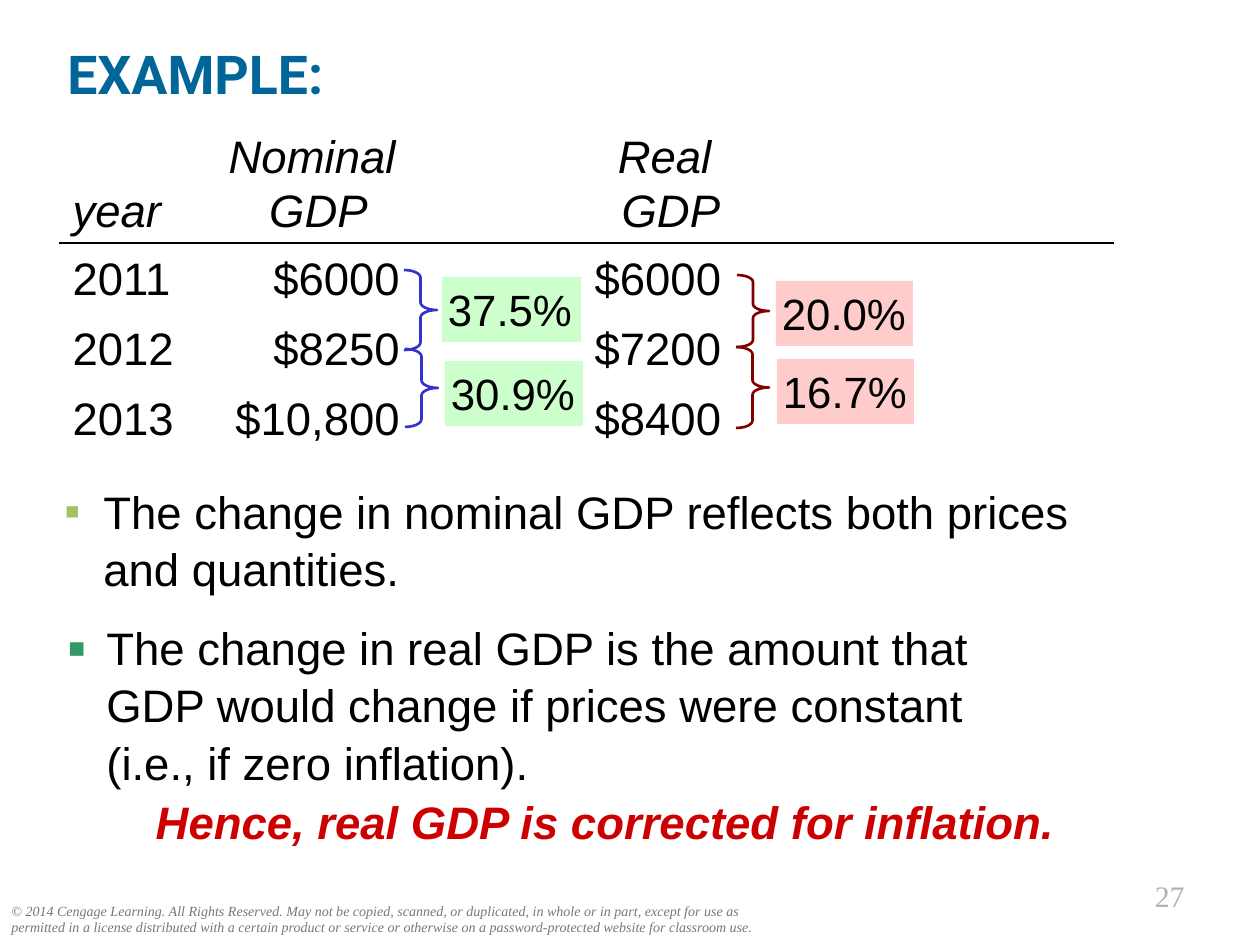
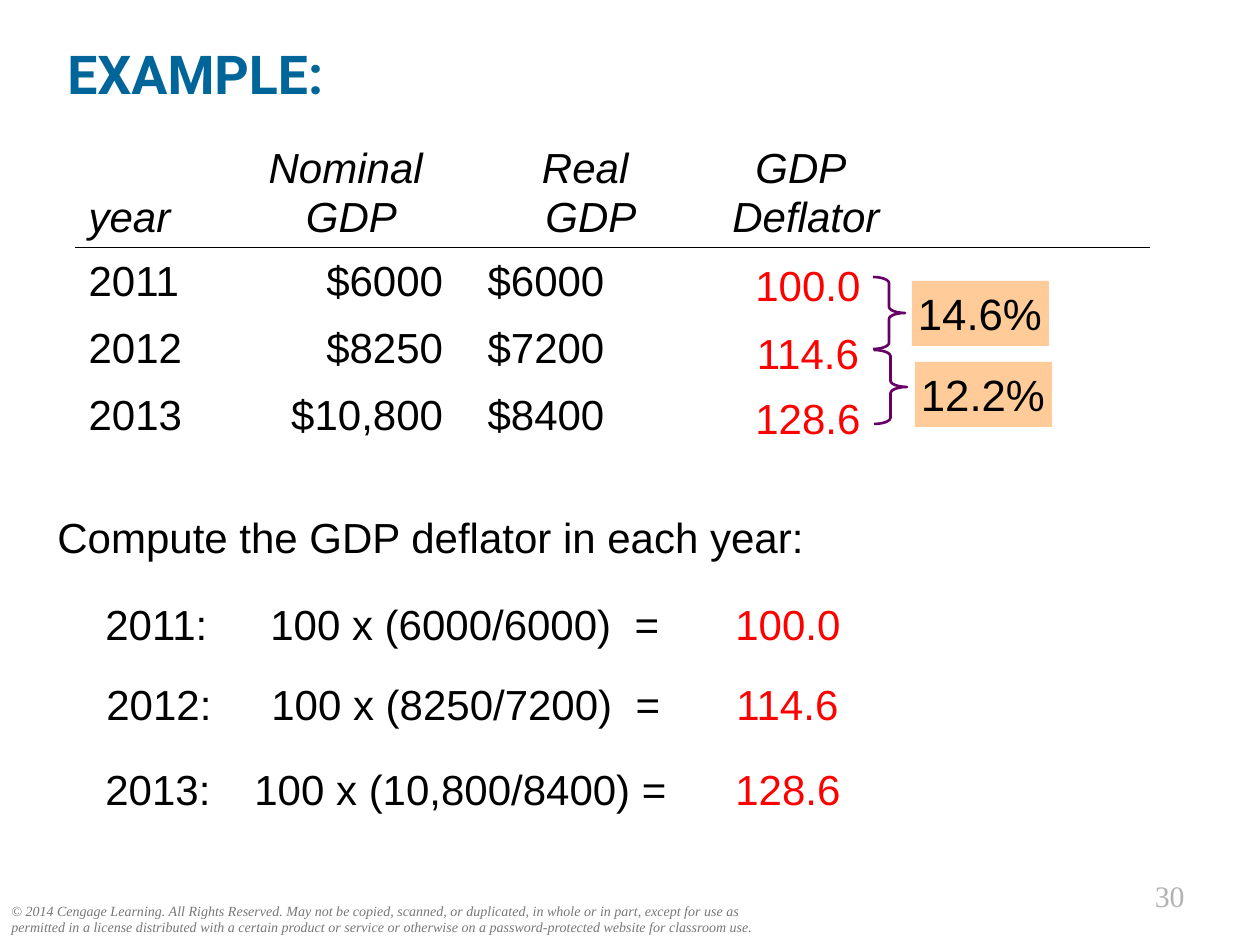
from lxml.etree import SubElement
from pptx import Presentation
from pptx.dml.color import RGBColor
from pptx.enum.shapes import MSO_SHAPE
from pptx.enum.text import MSO_ANCHOR, PP_ALIGN
from pptx.oxml import parse_xml
from pptx.oxml.ns import nsdecls, qn
from pptx.util import Pt

SCALE = 914400 / 126
BLACK, RED = "000000", "FF0000"
SERIF = "Times New Roman"
LEFT, MID, RIGHT = PP_ALIGN.LEFT, PP_ALIGN.CENTER, PP_ALIGN.RIGHT
HANG = 39
NOTICE = (
    "© 2014 Cengage Learning. All Rights Reserved. May not be copied, scanned, "
    "or duplicated, in whole or in part, except for use as permitted in a license "
    "distributed with a certain product or service or otherwise on a "
    "password-protected website for classroom use."
)


def px(n):
    return round(n * SCALE)


def box(*sides):
    return [px(n) for n in sides]


def color(code):
    return RGBColor.from_string(code)


def write(frame, text, size=26, font="Arial", ink=BLACK, bold=False, italic=False,
          align=LEFT, anchor=MSO_ANCHOR.TOP, lead=None, wrap=True,
          hang=0, bullet=None, tabs=()):
    """Fill a frame with one paragraph; text is a string or (string, ink) pairs."""
    frame.word_wrap = wrap
    frame.vertical_anchor = anchor
    para = frame.paragraphs[0]
    para.alignment = align
    if lead:
        para.line_spacing = lead
    props = para._p.get_or_add_pPr()
    if hang:
        props.set("marL", str(px(hang)))
        props.set("indent", str(-px(hang)))
    if bullet:
        tint, grow = bullet
        SubElement(SubElement(props, qn("a:buClr")), qn("a:srgbClr"), val=tint)
        SubElement(props, qn("a:buSzPct"), val=str(grow * 1000))
        SubElement(props, qn("a:buFont"), typeface="Arial")
        SubElement(props, qn("a:buChar"), char="▪")
    if tabs:
        stops = SubElement(props, qn("a:tabLst"))
        for stop in tabs:
            SubElement(stops, qn("a:tab"), pos=str(px(stop)), algn="l")
    for part, tint in [(text, ink)] if isinstance(text, str) else text:
        for i, line in enumerate(part.split("\n")):
            if i:
                para.add_line_break()
            run = para.add_run()
            run.text = line
            face = run.font
            face.size, face.name = Pt(size), font
            face.bold, face.italic = bold, italic
            face.color.rgb = color(tint)


def label(slide, place, text, **style):
    write(slide.shapes.add_textbox(*box(*place)).text_frame, text, **style)


def rate(slide, place, text, fill):
    """Tinted box with a growth rate."""
    shape = slide.shapes.add_shape(MSO_SHAPE.RECTANGLE, *box(*place))
    shape.shadow.inherit = False
    shape.fill.solid()
    shape.fill.fore_color.rgb = color(fill)
    shape.line.fill.background()
    frame = shape.text_frame
    frame.margin_left = frame.margin_right = px(6)
    frame.margin_top = frame.margin_bottom = px(6)
    write(frame, text, size=25, wrap=False)


def brace(slide, place, ink, bend):
    shape = slide.shapes.add_shape(MSO_SHAPE.RIGHT_BRACE, *box(*place))
    shape.shadow.inherit = False
    shape.adjustments[0] = bend
    shape.fill.background()
    shape.line.color.rgb = color(ink)
    shape.line.width = Pt(1.5)


def rule(cell, side):
    """Thin black border on one side of a cell."""
    cell._tc.get_or_add_tcPr().insert(0, parse_xml(
        f'<a:{side} {nsdecls("a")} w="12700"><a:solidFill>'
        f'<a:srgbClr val="{BLACK}"/></a:solidFill></a:{side}>'))


def grid(slide, left, top, cols, head, rows, size):
    """Table with an italic head row above a rule; the second column is money."""
    high = [head] + [67] * (len(rows) - 1)
    table = slide.shapes.add_table(
        len(rows), len(cols), *box(left, top, sum(cols), sum(high))).table
    table.first_row = table.horz_banding = False
    for col, wide in zip(table.columns, cols):
        col.width = px(wide)
    for r, row in enumerate(rows):
        table.rows[r].height = px(high[r])
        for c, text in enumerate(row):
            cell = table.cell(r, c)
            cell.fill.background()
            if r < 2:
                rule(cell, "lnT" if r else "lnB")
            if not text:
                continue
            align = LEFT
            if c and not r:
                align = MID
            elif c == 1:
                align = RIGHT
                cell.margin_right = px(32)
            write(cell.text_frame, text, size=size, italic=not r, align=align, lead=1.05)
            cell.vertical_anchor = MSO_ANCHOR.MIDDLE if r else MSO_ANCHOR.BOTTOM


def page(deck, number):
    """Blank slide with the shared title, notice and page number."""
    slide = deck.slides.add_slide(deck.slide_layouts[6])
    label(slide, (-1, 896, 779, 47), NOTICE, size=8, font=SERIF, ink="777777", italic=True)
    label(slide, (1040, 872, 157, 49), number, size=17, font=SERIF, ink="B2B2B2", align=RIGHT)
    label(slide, (55, 34, 930, 78), "EXAMPLE:", size=30.6, font="Roboto", ink="006699",
          bold=True, anchor=MSO_ANCHOR.MIDDLE)
    return slide


def growth(deck):
    slide = page(deck, "27")
    grid(slide, 60, 116, (145, 227, 150, 178, 353), 120, [
        ("year", "Nominal \nGDP", "", "Real \nGDP", ""),
        ("2011", "$6000", "", "$6000", ""),
        ("2012", "$8250", "", "$7200", ""),
        ("2013", "$10,800", "", "$8400", ""),
    ], 26)

    # Growth rates, real then nominal
    rate(slide, (776, 281, 137, 65), "20.0%", "FFCCCC")
    brace(slide, (737, 275, 32, 72), "800000", 0.22)
    rate(slide, (777, 359, 137, 65), "16.7%", "FFCCCC")
    brace(slide, (736, 347, 33, 81), "800000", 0.22)
    rate(slide, (442, 277, 139, 65), "37.5%", "CCFFCC")
    brace(slide, (404, 270, 33, 80), "3333CC", 0.23)
    rate(slide, (445, 361, 138, 65), "30.9%", "CCFFCC")
    brace(slide, (405, 349, 33, 78), "3333CC", 0.23)

    # Conclusions
    label(slide, (52, 475, 1109, 149),
          "The change in nominal GDP reflects both prices and quantities.",
          lead=1.05, hang=HANG, bullet=("A3C167", 100))
    label(slide, (55, 611, 1106, 194),
          "The change in real GDP is the amount that \n"
          "GDP would change if prices were constant \n(i.e., if zero inflation).",
          lead=1.05, hang=HANG, bullet=("339966", 120))
    label(slide, (59, 785, 1106, 73), "Hence, real GDP is corrected for inflation. ",
          ink="CC0000", bold=True, italic=True, align=MID, lead=1.05, hang=HANG)


def deflator(deck):
    slide = page(deck, "30")
    grid(slide, 76, 129, (152, 247, 232, 198, 244), 111, [
        ("year", "Nominal \nGDP", "Real \nGDP", "GDP \nDeflator", ""),
        ("2011", "$6000", "$6000", "", ""),
        ("2012", "$8250", "$7200", "", ""),
        ("2013", "$10,800", "$8400", "", ""),
    ], 24)

    # Working for each year, and its result beside the table
    label(slide, (45, 503, 1123, 74), "Compute the GDP deflator in each year:",
          size=24, lead=1.05)
    for left, top, cell, tab, sum_, value in (
        (93, 590, 253, 165, "2011:\t100 x (6000/6000)  = \t", "100.0"),
        (94, 670, 321, 165, "2012:\t100 x (8250/7200)  = \t", "114.6"),
        (93, 755, 387, 149, "2013:\t100 x (10,800/8400) = \t", "128.6"),
    ):
        label(slide, (left, top, 864, 74), [(sum_, BLACK), (value, RED)],
              size=24, lead=1.05, tabs=(tab, 630))
        label(slide, (731, cell, 154, 60), value, size=24, ink=RED, align=MID,
              anchor=MSO_ANCHOR.MIDDLE, lead=1.05)

    # Inflation rates
    rate(slide, (912, 281, 137, 65), "14.6%", "FFCC99")
    brace(slide, (873, 277, 32, 72), "660066", 0.19)
    rate(slide, (915, 362, 137, 65), "12.2%", "FFCC99")
    brace(slide, (874, 350, 33, 74), "660066", 0.19)


def main():
    deck = Presentation()
    deck.slide_width, deck.slide_height = box(1260, 945)
    growth(deck)
    deflator(deck)
    deck.save("out.pptx")


if __name__ == "__main__":
    main()
